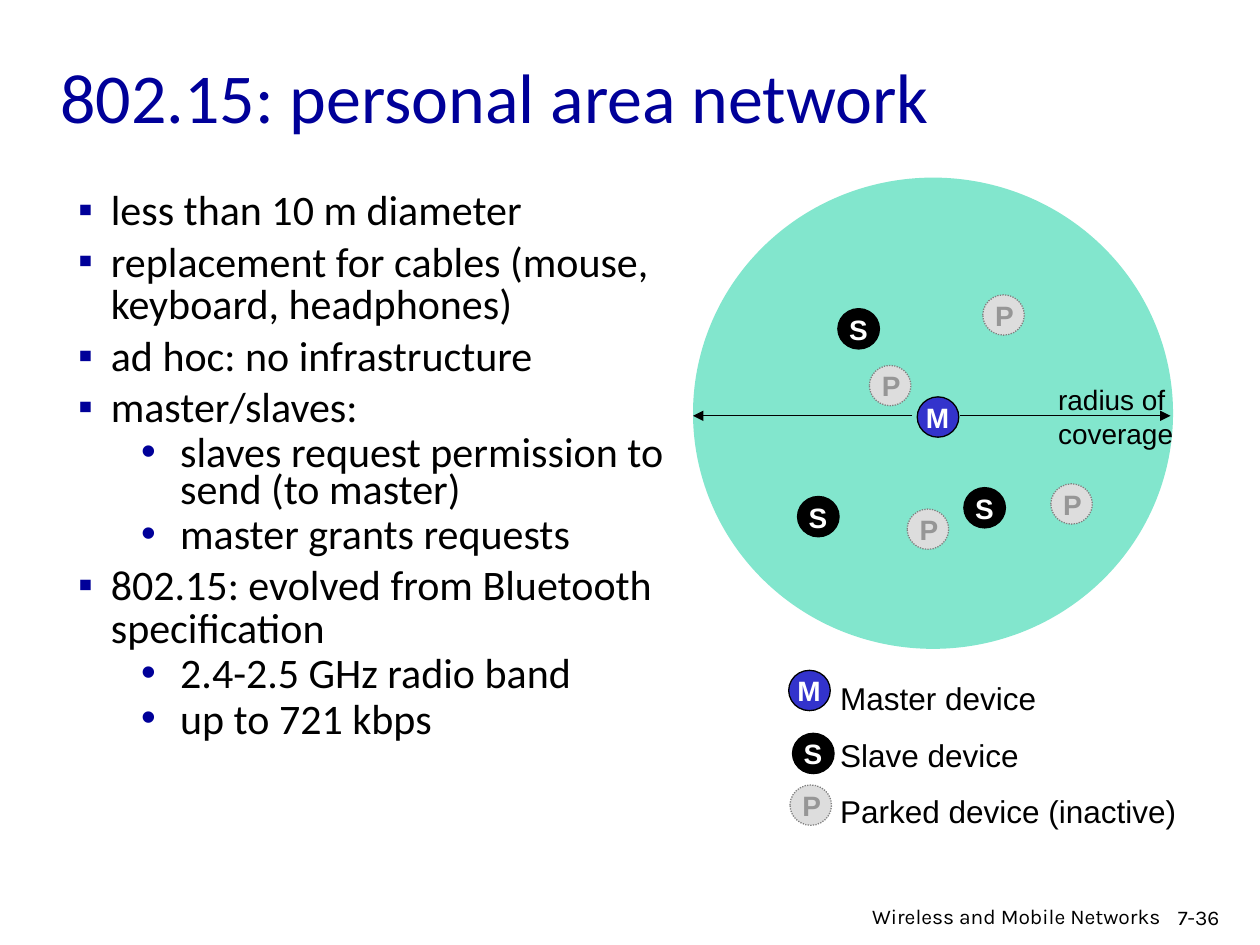
from lxml.etree import SubElement as Sub
from pptx import Presentation
from pptx.dml.color import RGBColor as RGB
from pptx.enum.dml import MSO_LINE as Dash
from pptx.enum.shapes import MSO_CONNECTOR as Conn, MSO_SHAPE as Kind
from pptx.enum.text import MSO_ANCHOR as Anchor, MSO_AUTO_SIZE as Auto, PP_ALIGN as Align
from pptx.oxml.ns import qn
from pptx.util import Inches, Pt

NAVY = RGB(0x00, 0x00, 0x99)
BLUE = RGB(0x33, 0x33, 0xCC)
TEAL = RGB(0x00, 0xCC, 0x99)
BLACK = RGB(0x00, 0x00, 0x00)
WHITE = RGB(0xFF, 0xFF, 0xFF)
PALE = RGB(0xDD, 0xDD, 0xDD)
GREY = RGB(0x80, 0x80, 0x80)
ASH = RGB(0x96, 0x96, 0x96)

ROLES = {
    "M": (BLUE, BLACK, WHITE, -0.03),
    "S": (BLACK, BLACK, WHITE, -0.01),
    "P": (PALE, GREY, ASH, 0),
}
NODES = [
    ("M", 7.28, 3.15),
    ("S", 6.65, 2.45), ("S", 7.65, 3.87), ("S", 6.33, 3.94),
    ("P", 7.8, 2.34), ("P", 7.2, 4.04), ("P", 6.9, 2.9), ("P", 8.34, 3.84),
    ("M", 6.26, 5.32), ("S", 6.29, 5.82), ("P", 6.27, 6.23),
]
POINTS = [
    (0, "less than 10 m diameter"),
    (0, "replacement for cables (mouse, keyboard, headphones)"),
    (0, "ad hoc: no infrastructure"),
    (0, "master/slaves:"),
    (1, "slaves request permission to send (to master)"),
    (1, "master grants requests"),
    (0, "802.15: evolved from Bluetooth specification"),
    (1, "2.4-2.5 GHz radio band"),
    (1, "up to 721 kbps"),
]
LEVELS = [("▪", 0.26, -0.26, 0.85), ("•", 0.81, -0.31, Pt(21))]


class Page:
    head = body = "Calibri"
    label = "Arial"
    foot = "Karla"
    thin = Pt(0.75)

    def __init__(self, deck):
        self.slide = deck.slides.add_slide(deck.slide_layouts[1])
        self.shapes = self.slide.shapes

    def place(self, shape, box):
        shape.left, shape.top, shape.width, shape.height = map(Inches, box)

    def run(self, para, text, font, size, color, bold=False):
        run = para.add_run()
        run.text = text
        run.font.name, run.font.size, run.font.bold = font, Pt(size), bold
        run.font.color.rgb = color

    def title(self, text, box):
        shape = self.shapes.title
        self.place(shape, box)
        frame = shape.text_frame
        frame.auto_size = Auto.NONE
        frame.vertical_anchor = Anchor.MIDDLE
        para = frame.paragraphs[0]
        para.alignment = Align.LEFT
        self.run(para, text, self.head, 40, NAVY)

    def list(self, points, box):
        shape = self.slide.placeholders[1]
        self.place(shape, box)
        frame = shape.text_frame
        frame.auto_size = Auto.NONE
        for i, (level, text) in enumerate(points):
            para = frame.add_paragraph() if i else frame.paragraphs[0]
            mark, left, hang, pitch = LEVELS[level]
            para.level = level
            para.line_spacing = pitch
            para.space_before = Pt(4.8)
            props = para._p.get_or_add_pPr()
            props.set("marL", str(Inches(left)))
            props.set("indent", str(Inches(hang)))
            tint = Sub(props, qn("a:buClr"))
            Sub(tint, qn("a:srgbClr"), val=str(NAVY))
            Sub(props, qn("a:buFont"), typeface=self.label)
            Sub(props, qn("a:buChar"), char=mark)
            self.run(para, text, self.body, 24, BLACK)

    def text(self, lines, box, font, size, color=BLACK, bold=False,
             wrap=True, align=Align.LEFT, pitch=None, home=None):
        shape = (home or self.shapes).add_textbox(*map(Inches, box))
        frame = shape.text_frame
        frame.word_wrap = wrap
        for i, line in enumerate(lines):
            para = frame.add_paragraph() if i else frame.paragraphs[0]
            para.alignment = align
            para.line_spacing = pitch
            self.run(para, line, font, size, color, bold)

    def oval(self, box, fill, line=None, home=None):
        shape = (home or self.shapes).add_shape(Kind.OVAL, *map(Inches, box))
        shape.shadow.inherit = False
        shape.fill.solid()
        shape.fill.fore_color.rgb = fill
        if line is None:
            shape.line.fill.background()
        else:
            shape.line.color.rgb = line
            shape.line.width = self.thin
        return shape

    def zone(self, box, fill, alpha):
        shape = self.oval(box, fill)
        color = shape._element.spPr.find(qn("a:solidFill"))[0]
        Sub(color, qn("a:alpha"), val=str(alpha * 1000))

    def node(self, role, x, y):
        fill, line, ink, shift = ROLES[role]
        home = self.shapes.add_group_shape().shapes
        disc = self.oval((x, y, 0.33, 0.32), fill, line, home)
        if role == "P":
            disc.line.dash_style = Dash.ROUND_DOT
        self.text([role], (x + shift, y - 0.02, 0.33, 0.37),
                  self.label, 16, ink, True, home=home)

    def arrow(self, start, end):
        ends = map(Inches, (*start, *end))
        line = self.shapes.add_connector(Conn.STRAIGHT, *ends)
        line.line.color.rgb = BLACK
        line.line.width = self.thin
        Sub(line.line._get_or_add_ln(), qn("a:tailEnd"), type="triangle")
        Sub(line._element.spPr, qn("a:effectLst"))


def main():
    deck = Presentation()
    deck.slide_width, deck.slide_height = Inches(10), Inches(7.5)
    page = Page(deck)
    page.title("802.15: personal area network", (0.38, 0.3, 8.5, 0.92))
    page.list(POINTS, (0.52, 1.47, 4.88, 6.03))
    page.zone((5.5, 1.41, 3.81, 3.74), TEAL, 49)
    page.arrow((7.62, 3.3), (9.29, 3.3))
    page.arrow((7.24, 3.3), (5.5, 3.3))
    page.text(["radius of", "coverage"], (8.3, 2.99, 1.11, 0.64),
              page.label, 16, wrap=False)
    for node in NODES:
        page.node(*node)
    page.text(["Master device", "Slave device", "Parked device (inactive)"],
              (6.57, 5.19, 2.87, 1.45), page.label, 18, wrap=False, pitch=1.5)
    page.text(["7-36"], (9.25, 7.13, 0.75, 0.3), page.foot, 12)
    page.text(["Wireless and Mobile Networks "], (6.4, 7.12, 2.95, 0.28),
              page.foot, 12, align=Align.RIGHT)
    deck.save("out.pptx")


if __name__ == "__main__":
    main()
